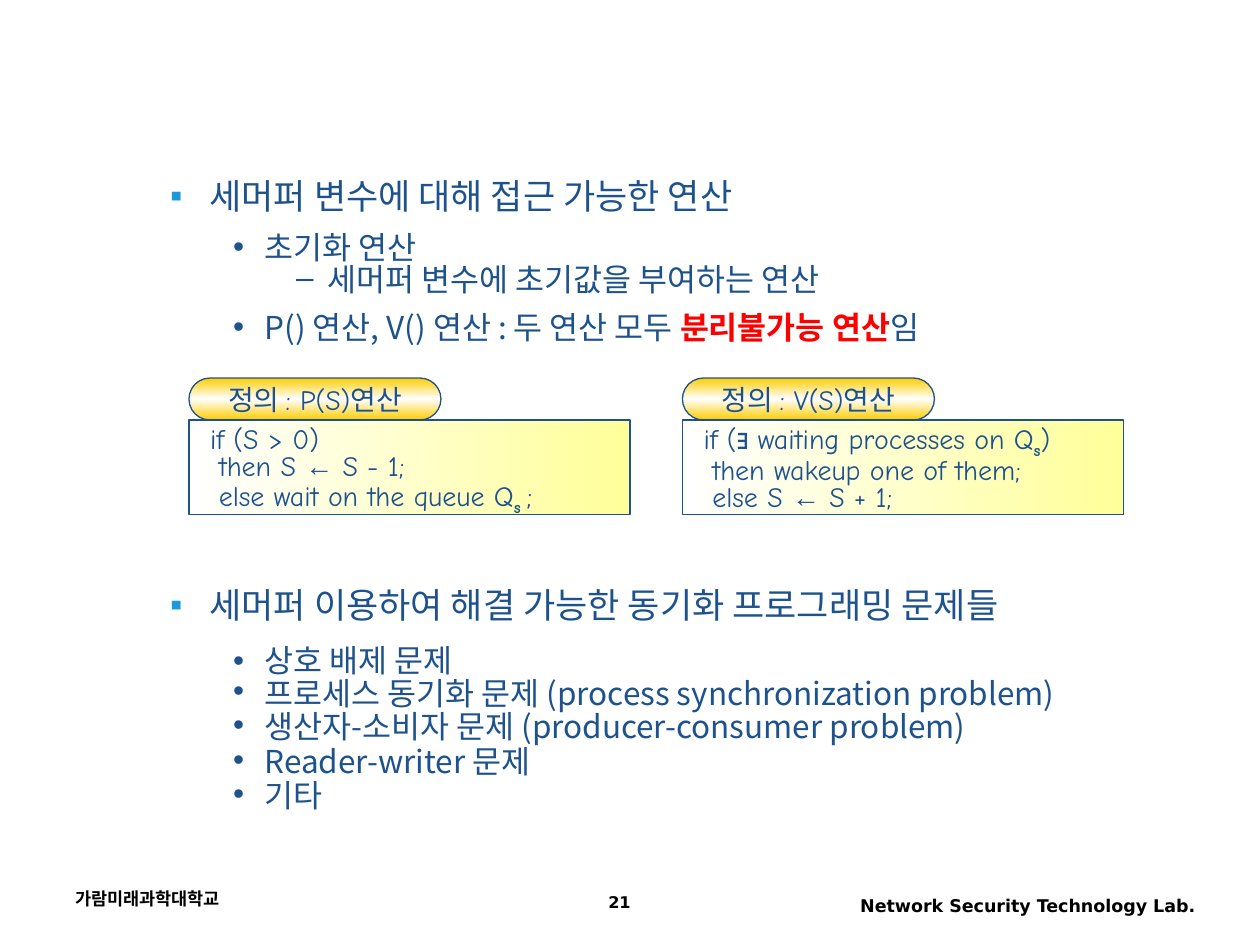
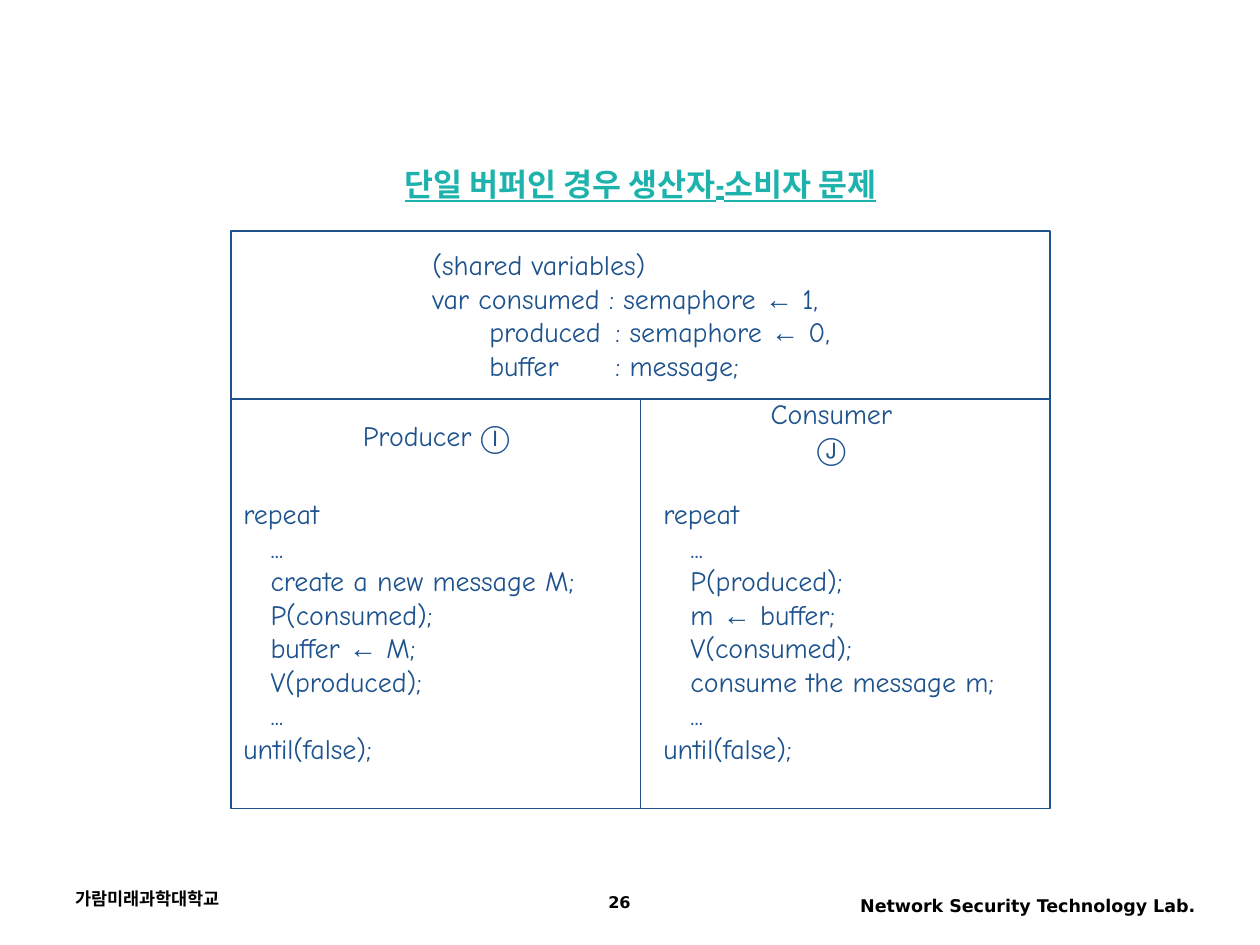
from copy import deepcopy
from dataclasses import dataclass
from itertools import groupby

from pptx import Presentation
from pptx.dml.color import RGBColor
from pptx.enum import shapes as sh, text as tx
from pptx.oxml import parse_xml
from pptx.oxml.ns import nsdecls, qn
from pptx.util import Pt

LEFT, MID, RIGHT = tx.PP_ALIGN.LEFT, tx.PP_ALIGN.CENTER, tx.PP_ALIGN.RIGHT


@dataclass(frozen=True)
class Theme:
    """Colours, fonts and type sizes of the deck."""
    ink: str = "1D528D"
    mark: str = "1B9AD9"
    teal: str = "1DB3AC"
    red: str = "FF0000"
    black: str = "000000"
    gold: tuple = ("FFCC00", "FFFFFF", "FFCC00")
    cream: tuple = ("FFFFFF", "FFFF99")
    hangul: str = "Noto Sans CJK KR"
    code: str = "Comic Neue"
    sign: str = "Arial"
    head: str = "Arial Narrow"
    foot: str = "DejaVu Sans"
    big: float = 20
    item: float = 18
    small: float = 16
    note: float = 10
    page: float = 9.2


T = Theme()
LEVELS = {1: ("▪", T.mark, 58.5, -22.5, 5, T.big),
          2: ("•", T.ink, 90, -18, 4.5, T.item),
          3: ("–", T.ink, 126, -18, 4.5, T.item)}


def rgb(code):
    """Turn a hex code into a colour."""
    return RGBColor.from_string(code)


def emu(pts):
    """Give points as the whole number that XML wants."""
    return str(int(Pt(pts)))


def put(para, runs, *, font=T.code, size=T.small, color=T.ink, bold=False,
        line=False, align=LEFT, gap=1.0, before=0, inset=0, hang=0, sub=False,
        mark=None, tint=T.ink, tab=None):
    """Fill a paragraph with runs: a string, or a list of strings and (string, format)."""
    para.alignment, para.line_spacing, para.space_before = align, gap, Pt(before)
    props = para._p.get_or_add_pPr()
    props.set("marL", emu(inset))
    props.set("indent", emu(hang))
    if mark:
        props.append(parse_xml(f'<a:buClr {nsdecls("a")}><a:srgbClr val="{tint}"/></a:buClr>'))
        props.append(parse_xml(f'<a:buChar {nsdecls("a")} char="{mark}"/>'))
    if tab:
        props.append(parse_xml(f'<a:tabLst {nsdecls("a")}><a:tab pos="{emu(tab)}" algn="l"/></a:tabLst>'))
    base = dict(font=font, size=size, color=color, bold=bold, line=line, sub=sub)
    for part in [runs] if isinstance(runs, str) else runs:
        word, extra = (part, {}) if isinstance(part, str) else part
        look = {**base, **extra}
        run = para.add_run()
        run.text = word
        face = run.font
        face.name, face.size, face.bold = look["font"], Pt(look["size"]), look["bold"]
        face.underline = look["line"]
        face.color.rgb = rgb(look["color"])
        style = run._r.get_or_add_rPr()
        if look["sub"]:
            style.set("baseline", "-25000")
        if any("가" <= c <= "힣" for c in word):
            style.find(qn("a:latin")).addnext(
                parse_xml(f'<a:ea {nsdecls("a")} typeface="{T.hangul}"/>'))


def write(shape, rows, *, wrap=True, anchor=tx.MSO_ANCHOR.TOP,
          fit=tx.MSO_AUTO_SIZE.NONE, **look):
    """Write rows of (runs, format) into a shape."""
    frame = shape.text_frame
    frame.word_wrap, frame.vertical_anchor, frame.auto_size = wrap, anchor, fit
    for n, (runs, extra) in enumerate(rows):
        para = frame.add_paragraph() if n else frame.paragraphs[0]
        put(para, runs, **{**look, **extra})


def move(shape, box):
    """Set a placeholder to a box."""
    shape.left, shape.top, shape.width, shape.height = map(Pt, box)
    return shape


def label(slide, box, rows, **look):
    """Add a text box."""
    write(slide.shapes.add_textbox(*map(Pt, box)), rows, **look)


def panel(slide, box, kind=sh.MSO_SHAPE.RECTANGLE, fade=None, angle=0):
    """Add an outlined shape, empty or with a gradient."""
    shape = slide.shapes.add_shape(kind, *map(Pt, box))
    shape.shadow.inherit = False
    shape.line.color.rgb, shape.line.width = rgb(T.ink), Pt(0.75)
    if not fade:
        shape.fill.background()
        return shape
    shape.fill.gradient()
    shape.fill.gradient_angle = angle
    stops = shape._element.spPr.find(".//" + qn("a:gsLst"))
    while len(stops) < len(fade):
        stops.append(deepcopy(stops[0]))
    for n, (stop, color) in enumerate(zip(shape.fill.gradient_stops, fade)):
        stop.color.rgb, stop.position = rgb(color), n / (len(fade) - 1)
    return shape


def code(line):
    """Split a code line so that its signs get their own font."""
    return [("".join(part), {"font": T.sign} if sign else {})
            for sign, part in groupby(line, lambda c: c in "←∃")]


def sub(word):
    """Make a bold subscript run."""
    return word, dict(bold=True, sub=True)


def footer(slide, page):
    """Add school, lab and page number at the foot."""
    look = dict(font=T.foot, color=T.black, bold=True, size=T.note)
    label(slide, (36, 504, 168, 24), [("가람미래과학대학교", {})], **look)
    label(slide, (462, 507.6, 228, 23),
          [("Network Security Technology Lab.", {})], align=RIGHT, **look)
    label(slide, (270, 507.6, 168, 20),
          [(page, dict(size=T.page, gap=0.9))], align=MID, **look)


def outline(shape, box, items):
    """Fill a body placeholder with (level, line spacing, runs)."""
    rows = []
    for level, gap, runs in items:
        mark, tint, inset, hang, before, size = LEVELS[level]
        rows.append((runs, dict(mark=mark, tint=tint, inset=inset, hang=hang,
                                before=before, size=size, gap=gap)))
    write(move(shape, box), rows, font=T.hangul)


def define(slide, box, name, lines):
    """Add a definition: a gold pill on top of a code box."""
    x, y, w, h = box
    pill = panel(slide, (x, y, 144, 24), sh.MSO_SHAPE.ROUNDED_RECTANGLE, T.gold, 90)
    pill.adjustments[0] = 0.5
    write(pill, [(name, {})], wrap=False, anchor=tx.MSO_ANCHOR.MIDDLE, align=MID)
    rows = [(runs, dict(inset=10 if n else 5, gap=0.8 if n else 1.0))
            for n, runs in enumerate(lines)]
    write(panel(slide, (x, y + 24, w, h - 24), fade=T.cream), rows,
          anchor=tx.MSO_ANCHOR.MIDDLE)


def shared(slide, box, lines):
    """Add the panel of shared variables."""
    x, y, w, h = box
    panel(slide, box)
    label(slide, (x + 108, y + 6, 270, h - 12),
          [(code(line), look) for line, look in lines], anchor=tx.MSO_ANCHOR.MIDDLE)


def process(slide, box, head, spot, shift, steps):
    """Add a process panel with its heading and its loop."""
    x, y, w, h = box
    panel(slide, box)
    dx, dy, wide = spot
    label(slide, (x + dx, y + dy, wide, 26.6), [(head, {})], wrap=False, align=MID,
          before=10, anchor=tx.MSO_ANCHOR.MIDDLE, fit=tx.MSO_AUTO_SIZE.SHAPE_TO_FIT_TEXT)
    rows = [("repeat", {}),
            *((code(step), dict(inset=15.5)) for step in ["...", *steps, "..."]),
            ("until(false);", {})]
    label(slide, (x + shift, y + 48, 222, 169), rows, anchor=tx.MSO_ANCHOR.MIDDLE)


def semaphore(deck):
    """Build the slide on semaphore operations."""
    slide = deck.slides.add_slide(deck.slide_layouts[3])
    title, top, low = slide.placeholders
    title.element.getparent().remove(title.element)
    footer(slide, "21")
    outline(top, (54, 96, 612, 114), [
        (1, 1.0, "세머퍼 변수에 대해 접근 가능한 연산"),
        (2, 1.1, "초기화 연산"),
        (3, 0.6, "세머퍼 변수에 초기값을 부여하는 연산"),
        (2, 1.1, ["P() 연산, V() 연산 : 두 연산 모두 ",
                  ("분리불가능 연산", dict(color=T.red, bold=True)), "임"])])
    define(slide, (108, 216, 252, 78), "정의 : P(S)연산", [
        "if (S > 0)", code("then S ← S - 1;"),
        ["else wait on the queue Q", sub("s "), ";"]])
    define(slide, (390, 216, 252, 78), "정의 : V(S)연산", [
        [*code("if (∃ waiting processes on Q"), sub("s"), ")"],
        "then wakeup one of them;", code("else S ← S + 1;")])
    outline(low, (54, 330, 642, 150), [
        (1, 1.0, "세머퍼 이용하여 해결 가능한 동기화 프로그래밍 문제들"),
        (2, 1.2, "상호 배제 문제"),
        (2, 0.6, "프로세스 동기화 문제 (process synchronization problem)"),
        (2, 0.7, "생산자-소비자 문제 (producer-consumer problem)"),
        (2, 0.7, "Reader-writer 문제"),
        (2, 0.7, "기타")])


def buffer(deck):
    """Build the slide on the single-buffer problem."""
    slide = deck.slides.add_slide(deck.slide_layouts[5])
    footer(slide, "26")
    write(move(slide.shapes.title, (144, 96, 444, 18)),
          [("단일 버퍼인 경우 생산자-소비자 문제", {})], wrap=False,
          anchor=tx.MSO_ANCHOR.MIDDLE, align=MID, before=11.2,
          font=T.head, size=T.item, color=T.teal, bold=True, line=True)
    x, y, w, h, low = 132, 132, 468, 96, 234
    shared(slide, (x, y, w, h), [
        ("(shared variables)", {}),
        ("var consumed : semaphore ← 1,", {}),
        ("produced\t: semaphore ← 0,", dict(inset=32.5, tab=106.5)),
        ("buffer\t: message;", dict(inset=32.5, tab=104))])
    process(slide, (x, y + h, w / 2, low), "Producer Ⓘ", (68.2, 7.4, 98), 0, [
        "create a new message M;", "P(consumed);", "buffer ← M;", "V(produced);"])
    process(slide, (x + w / 2, y + h, w / 2, low), "Consumer Ⓙ", (56.6, 4.6, 105), 6, [
        "P(produced);", "m ← buffer;", "V(consumed);", "consume the message m;"])


def main():
    """Build and save the deck."""
    deck = Presentation()
    deck.slide_width, deck.slide_height = Pt(720), Pt(540)
    semaphore(deck)
    buffer(deck)
    deck.save("out.pptx")


if __name__ == "__main__":
    main()
